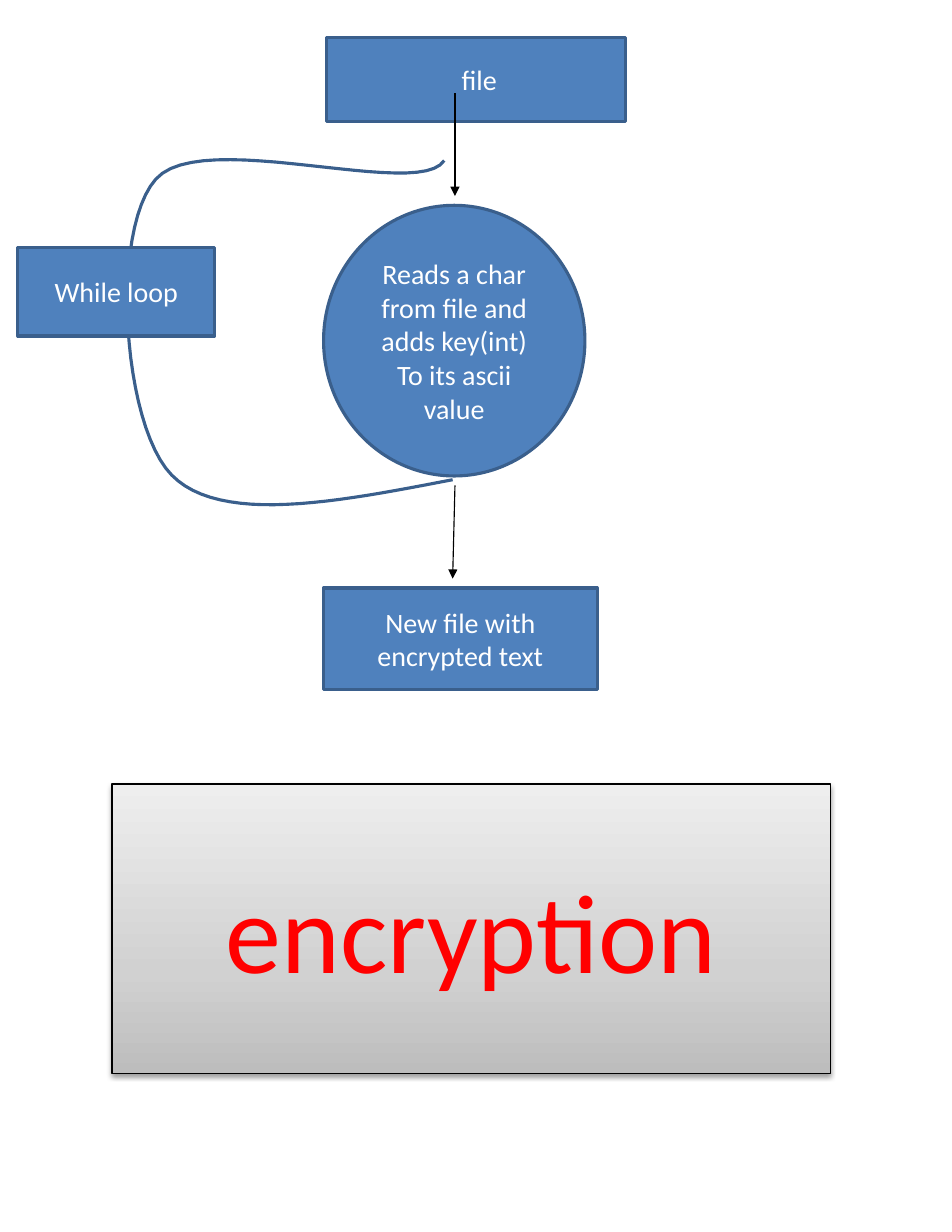
from copy import deepcopy
from lxml import etree
from pptx import Presentation
from pptx.dml.color import RGBColor
from pptx.enum import shapes, text
from pptx.oxml import ns
from pptx.util import Emu, Inches, Pt

THEME = {
    "step": RGBColor.from_string("4F81BD"),
    "edge": RGBColor.from_string("3A5F8C"),
    "ink": RGBColor.from_string("000000"),
    "light": RGBColor.from_string("FFFFFF"),
    "alert": RGBColor.from_string("FF0000"),
    "gradient": [(0, "BDBDBD"), (0.35, "D1D1D1"), (1, "EEEEEE")],
    "font": "Calibri",
    "body": Pt(18),
    "title": Pt(72),
    "thick": Pt(2),
    "thin": Pt(0.75),
}
COLUMNS, ROWS = 102, 132

deck = Presentation()
deck.slide_width, deck.slide_height = Inches(8.5), Inches(11)
slide = deck.slides.add_slide(deck.slide_layouts[6])
column, row = deck.slide_width / COLUMNS, deck.slide_height / ROWS


def grid(*lengths):
    return [Emu(round(n * (row if i % 2 else column))) for i, n in enumerate(lengths)]


def style(target, values):
    for name, value in values.items():
        setattr(target, name, value)


loop_start = (48.5, 51.4)
loop_bends = [
    ((36.1, 53.8), (23.6, 56.2), (18.4, 50.9)),
    ((13.1, 45.5), (11.8, 24.7), (16.7, 19.2)),
    ((21.6, 13.6), (44.9, 21.5), (47.6, 17.2)),
]
bend_steps = 24
loop_points = []
bend_start = loop_start
for first, second, bend_end in loop_bends:
    for step in range(1, bend_steps + 1):
        t = step / bend_steps
        weights = ((1 - t) ** 3, 3 * t * (1 - t) ** 2, 3 * t * t * (1 - t), t ** 3)
        anchors = (bend_start, first, second, bend_end)
        loop_points.append(grid(*(sum(w * a[axis] for w, a in zip(weights, anchors))
                                  for axis in (0, 1))))
    bend_start = bend_end
outline = slide.shapes.build_freeform(*grid(*loop_start))
outline.add_line_segments(loop_points, close=False)
loop_path = outline.convert_to_shape()
loop_path.shadow.inherit = False
loop_path.fill.background()
loop_path.line.color.rgb = THEME["edge"]
loop_path.line.width = THEME["thick"]

RECT, OVAL = shapes.MSO_SHAPE.RECTANGLE, shapes.MSO_SHAPE.OVAL
plain = ("edge", "thick", "body", "light")
steps = [
    (RECT, (35, 4, 32, 9), [" file"], plain),
    (OVAL, (34.67, 22, 28, 29),
     ["Reads a char from file and adds key(int)", "To its ascii value"], plain),
    (RECT, (1.92, 26.5, 21.1, 9.5), ["While loop"], plain),
    (RECT, (34.67, 63, 29.33, 10.9), ["New file with encrypted text"], plain),
    (RECT, (12, 84, 77, 31), ["encryption"], ("ink", "thin", "title", "alert")),
]
for kind, place, wording, (edge, width, size, colour) in steps:
    step = slide.shapes.add_shape(kind, *grid(*place))
    step.shadow.inherit = False
    step.fill.solid()
    step.fill.fore_color.rgb = THEME["step"]
    step.line.color.rgb = THEME[edge]
    step.line.width = THEME[width]
    frame = step.text_frame
    style(frame, {"word_wrap": True, "vertical_anchor": text.MSO_ANCHOR.MIDDLE})
    frame.text = "\n".join(wording)
    for paragraph in frame.paragraphs:
        paragraph.alignment = text.PP_ALIGN.CENTER
        for run in paragraph.runs:
            style(run.font, {"name": THEME["font"], "size": THEME[size]})
            run.font.color.rgb = THEME[colour]

banner = step
banner.fill.gradient()
banner.fill.gradient_angle = 90
stop_list = banner._element.spPr.find(".//" + ns.qn("a:gsLst"))
stop_list.append(deepcopy(stop_list[-1]))
for stop, (position, colour) in zip(banner.fill.gradient_stops, THEME["gradient"]):
    stop.position = position
    stop.color.rgb = RGBColor.from_string(colour)
effects = banner._element.spPr.find(ns.qn("a:effectLst"))
shade = etree.SubElement(effects, ns.qn("a:outerShdw"), blurRad=str(Pt(3.1)),
                         dist=str(Pt(1.6)), dir="5400000", rotWithShape="0")
shade_colour = etree.SubElement(shade, ns.qn("a:srgbClr"), val=str(THEME["ink"]))
etree.SubElement(shade_colour, ns.qn("a:alpha"), val="38000")

for ends in [(48.75, 10, 48.75, 21), (48.75, 52, 48.5, 62)]:
    arrow = slide.shapes.add_connector(shapes.MSO_CONNECTOR.STRAIGHT, *grid(*ends))
    arrow.line.color.rgb = THEME["ink"]
    arrow.line.width = THEME["thin"]
    etree.SubElement(arrow.line._get_or_add_ln(), ns.qn("a:tailEnd"), type="triangle")
    etree.SubElement(arrow._element.spPr, ns.qn("a:effectLst"))

deck.save("out.pptx")
